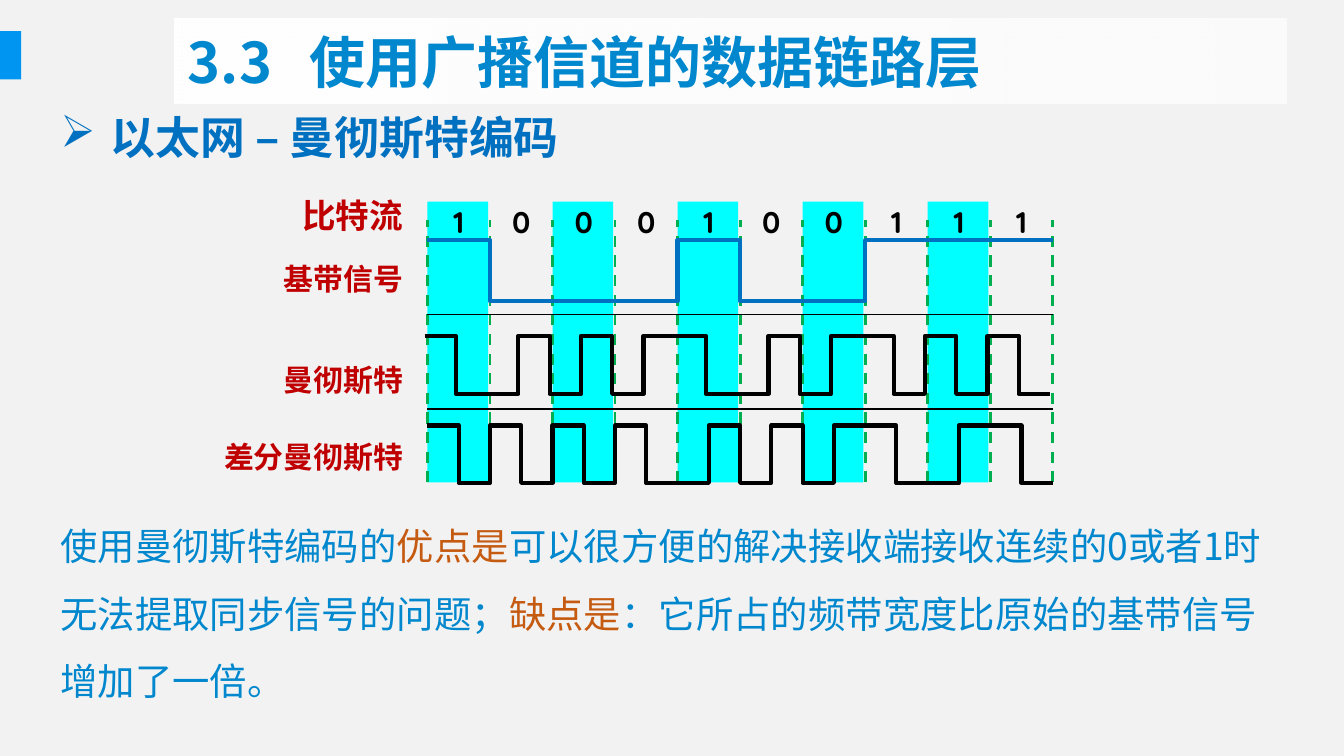
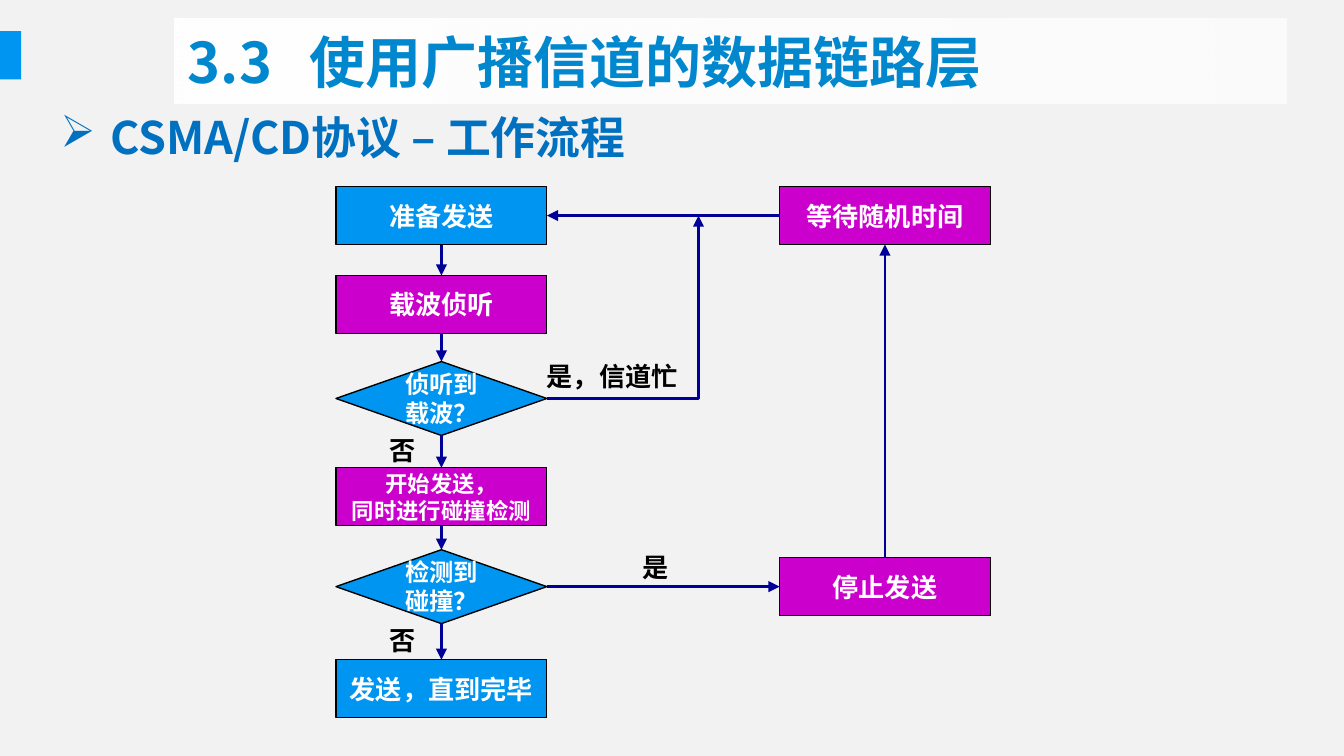
import itertools

import lxml.etree
import pptx
import pptx.dml.color
import pptx.enum.dml
import pptx.enum.shapes
import pptx.enum.text
import pptx.oxml.ns
import pptx.util

Pt = pptx.util.Pt
SHAPE = pptx.enum.shapes.MSO_SHAPE
CONNECTOR = pptx.enum.shapes.MSO_CONNECTOR
ALIGN = pptx.enum.text.PP_ALIGN
ANCHOR = pptx.enum.text.MSO_ANCHOR
qn = pptx.oxml.ns.qn

COLOURS = {
    "page": "F2F2F2", "white": "FFFFFF", "black": "000000",
    "accent": "0095F0", "title": "0087CD", "heading": "0070C0",
    "emphasis": "C55A11", "label": "C00000", "band": "00FFFF",
    "boundary": "00B050", "step": "CC00CC", "arrow": "000099",
}
FONT = "Noto Sans CJK SC"
TITLE = "3.3\t使用广播信道的数据链路层"
TOP, LEFT, BOTTOM, RIGHT = range(4)

BITS = "1000100111"
FIRST_EDGE, BIT_WIDTH = 229, 33.5
BAND_TOP, BAND_HEIGHT = 108, 150.5

BOX_WIDTH, BOX_HEIGHT, DIAMOND_HEIGHT = 113, 31, 39.6
MAIN_COLUMN, RETRY_COLUMN = 180, 417.6


def rgb(colour):
    return pptx.dml.color.RGBColor.from_string(COLOURS[colour])


def add_child(parent, tag, **attributes):
    child = lxml.etree.SubElement(parent, qn(tag))
    for name, value in attributes.items():
        child.set(name, value)
    return child


def style_font(font, size, colour, bold=False, name=FONT):
    font.size, font.bold, font.name = Pt(size), bold, name
    font.color.rgb = rgb(colour)


def style_paragraph(para, size, colour, bold=False, name=FONT, align=ALIGN.LEFT):
    para.alignment = align
    for span in para.runs:
        style_font(span.font, size, colour, bold, name)
        latin = span.font._element.find(qn("a:latin"))
        east_asian = latin.makeelement(qn("a:ea"), {"typeface": FONT})
        latin.addnext(east_asian)


def add_block(page, kind, left, top, width, height, fill, outlined=False):
    block = page.shapes.add_shape(kind, Pt(left), Pt(top), Pt(width), Pt(height))
    block.shadow.inherit = False
    block.fill.solid()
    block.fill.fore_color.rgb = rgb(fill)
    if outlined:
        block.line.color.rgb = rgb("black")
        block.line.width = Pt(0.75)
    else:
        block.line.fill.background()
    return block


def add_text(page, left, top, width, height, text, wrap=True):
    box = page.shapes.add_textbox(Pt(left), Pt(top), Pt(width), Pt(height))
    frame = box.text_frame
    frame.text = text
    frame.word_wrap = wrap
    frame.auto_size = pptx.enum.text.MSO_AUTO_SIZE.SHAPE_TO_FIT_TEXT
    return frame.paragraphs[0]


def add_line(page, start, end, colour, width, kind=CONNECTOR.STRAIGHT):
    line = page.shapes.add_connector(kind, *map(Pt, start + end))
    line.line.color.rgb = rgb(colour)
    line.line.width = Pt(width)
    add_child(line._element.spPr, "a:effectLst")
    return line


def add_arrowhead(line):
    add_child(line.line._get_or_add_ln(), "a:tailEnd", type="triangle")


def add_title(page):
    bar = add_block(page, SHAPE.RECTANGLE, 93.6, 10, 595.4, 45.4, "white")
    bar.fill.gradient()
    bar.fill.gradient_angle = 0
    for stop in bar.fill.gradient_stops:
        stop.color.rgb = rgb("white")
    last_colour = list(bar._element.spPr.iter(qn("a:srgbClr")))[-1]
    add_child(last_colour, "a:alpha", val="67000")
    frame = bar.text_frame
    frame.text = TITLE
    frame.vertical_anchor = ANCHOR.MIDDLE
    para = frame.paragraphs[0]
    tabs = add_child(para._p.get_or_add_pPr(), "a:tabLst")
    add_child(tabs, "a:tab", pos=str(Pt(65)), algn="l")
    style_paragraph(para, 30, "title", True)


def add_heading(page, text):
    para = add_text(page, 25.2, 55.4, 663, 36, text)
    properties = para._p.get_or_add_pPr()
    properties.set("marL", str(Pt(27)))
    properties.set("indent", str(-Pt(27)))
    add_child(properties, "a:buChar", char="➢")
    style_paragraph(para, 24, "heading", True)


def new_page(deck, heading):
    page = deck.slides.add_slide(deck.slide_layouts[6])
    page.background.fill.solid()
    page.background.fill.fore_color.rgb = rgb("page")
    add_block(page, SHAPE.RECTANGLE, 0, 16.6, 11.3, 26, "accent")
    add_title(page)
    add_heading(page, heading)
    return page


def bit_edge(index):
    return FIRST_EDGE + index * BIT_WIDTH


def add_bit_grid(page):
    for index in range(0, len(BITS), 2):
        add_block(page, SHAPE.RECTANGLE, bit_edge(index), BAND_TOP,
                  BIT_WIDTH - 1, BAND_HEIGHT, "band")
    for index in range(len(BITS) + 1):
        line = add_line(page, (bit_edge(index), 258.5), (bit_edge(index), 118),
                        "boundary", 1.5)
        line.line.dash_style = pptx.enum.dml.MSO_LINE.DASH
    for index, bit in enumerate(BITS):
        para = add_text(page, bit_edge(index), 105.8, BIT_WIDTH, 26.6, bit)
        style_paragraph(para, 16, "black", True, "Quicksand", ALIGN.CENTER)
    for y in (168.5, 218.9):
        add_line(page, (FIRST_EDGE, y), (bit_edge(len(BITS)), y), "black", 1)


def add_row_label(page, text, top, size=16):
    """Place a label whose right edge meets the signal area."""
    width = len(text) * size + 15
    para = add_text(page, 223 - width, top, width, size * 1.65, text, wrap=False)
    style_paragraph(para, size, "label", True, "Calibri", ALIGN.RIGHT)


def add_wave(page, levels, high, low, colour, left=FIRST_EDGE):
    """Draw a square wave from one level (1 or 0) per half bit."""
    points = []
    for index, level in enumerate(levels):
        y = high if level else low
        for step in (index, index + 1):
            points.append((Pt(left + step * BIT_WIDTH / 2), Pt(y)))
    builder = page.shapes.build_freeform(*points[0], scale=1.0)
    builder.add_line_segments(points[1:], close=False)
    wave = builder.convert_to_shape()
    wave.shadow.inherit = False
    wave.fill.background()
    wave.line.color.rgb = rgb(colour)
    wave.line.width = Pt(2.25)


def baseband_levels():
    return [int(bit) for bit in BITS for _ in range(2)]


def manchester_levels():
    return [level for bit in map(int, BITS) for level in (bit, 1 - bit)]


def differential_levels():
    """A 0 flips the level at the start of a bit; every bit flips midway."""
    levels, current = [], 1
    for bit in BITS:
        if bit == "0":
            current = 1 - current
        levels += [current, 1 - current]
        current = 1 - current
    return levels


def build_encoding_page(deck):
    page = new_page(deck, "以太网 – 曼彻斯特编码")
    add_bit_grid(page)
    add_wave(page, baseband_levels(), 128.7, 161.4, "heading")
    add_wave(page, manchester_levels(), 180, 211, "black", FIRST_EDGE - 1.5)
    add_wave(page, differential_levels(), 228, 258.7, "black")
    add_row_label(page, "比特流", 100.8, 18)
    add_row_label(page, "基带信号", 136.1)
    add_row_label(page, "曼彻斯特", 190.1)
    add_row_label(page, "差分曼彻斯特", 231.5)

    para = add_text(page, 25.2, 265, 663, 112.3, "")
    para.line_spacing = 1.5
    parts = [
        ("使用曼彻斯特编码的", "title"),
        ("优点是", "emphasis"),
        ("可以很方便的解决接收端接收连续的0或者1时无法提取同步信号的问题；", "title"),
        ("缺点是", "emphasis"),
        ("：它所占的频带宽度比原始的基带信号增加了一倍。", "title"),
    ]
    for text, colour in parts:
        span = para.add_run()
        span.text = text
        style_font(span.font, 20, colour)


def add_step(page, left, top, text, fill, size=14, kind=SHAPE.RECTANGLE):
    height = DIAMOND_HEIGHT if kind == SHAPE.DIAMOND else BOX_HEIGHT
    step = add_block(page, kind, left, top, BOX_WIDTH, height, fill, outlined=True)
    frame = step.text_frame
    frame.text = text
    frame.word_wrap = True
    frame.vertical_anchor = ANCHOR.MIDDLE
    for para in frame.paragraphs:
        style_paragraph(para, size, "white", True, align=ALIGN.CENTER)
    return step


def join(page, source, source_side, target, target_side):
    arrow = add_line(page, (0, 0), (0, 0), "arrow", 1.5)
    arrow.begin_connect(source, source_side)
    arrow.end_connect(target, target_side)
    add_arrowhead(arrow)


def add_busy_branch(page):
    """Lead the busy channel right, then up to the retry arrow."""
    branch = add_line(page, (MAIN_COLUMN + BOX_WIDTH, 213.5), (374.2, 115.5),
                      "arrow", 1.5, CONNECTOR.ELBOW)
    branch._element.spPr.find(qn("a:prstGeom")).set("prst", "bentConnector2")
    add_arrowhead(branch)


def build_flow_page(deck):
    page = new_page(deck, "CSMA/CD协议 – 工作流程")
    steps = [
        (100, "准备发送", "accent"),
        (147.6, "载波侦听", "step"),
        (193.7, "侦听到载波？", "accent", 13, SHAPE.DIAMOND),
        (250.6, "开始发送，\n同时进行碰撞检测", "step", 12),
        (294.5, "检测到碰撞？", "accent", 13, SHAPE.DIAMOND),
        (353.5, "发送，直到完毕", "accent"),
    ]
    main_steps = [add_step(page, MAIN_COLUMN, *step) for step in steps]
    prepare, collision = main_steps[0], main_steps[4]
    stop = add_step(page, RETRY_COLUMN, 298.8, "停止发送", "step")
    wait = add_step(page, RETRY_COLUMN, 100, "等待随机时间", "step")

    for upper, lower in itertools.pairwise(main_steps):
        join(page, upper, BOTTOM, lower, TOP)
    join(page, collision, RIGHT, stop, LEFT)
    join(page, stop, TOP, wait, BOTTOM)
    join(page, wait, LEFT, prepare, RIGHT)
    add_busy_branch(page)

    answers = [("是，信道忙", 285.8, 189.4), ("是", 337, 291.6),
               ("否", 201.4, 331.2), ("否", 201.4, 229)]
    for text, left, top in answers:
        para = add_text(page, left, top, len(text) * 14 + 15, 24.2, text, wrap=False)
        style_paragraph(para, 14, "black", True)


def main():
    deck = pptx.Presentation()
    deck.slide_width, deck.slide_height = Pt(720), Pt(405)
    build_encoding_page(deck)
    build_flow_page(deck)
    deck.save("out.pptx")


if __name__ == "__main__":
    main()
